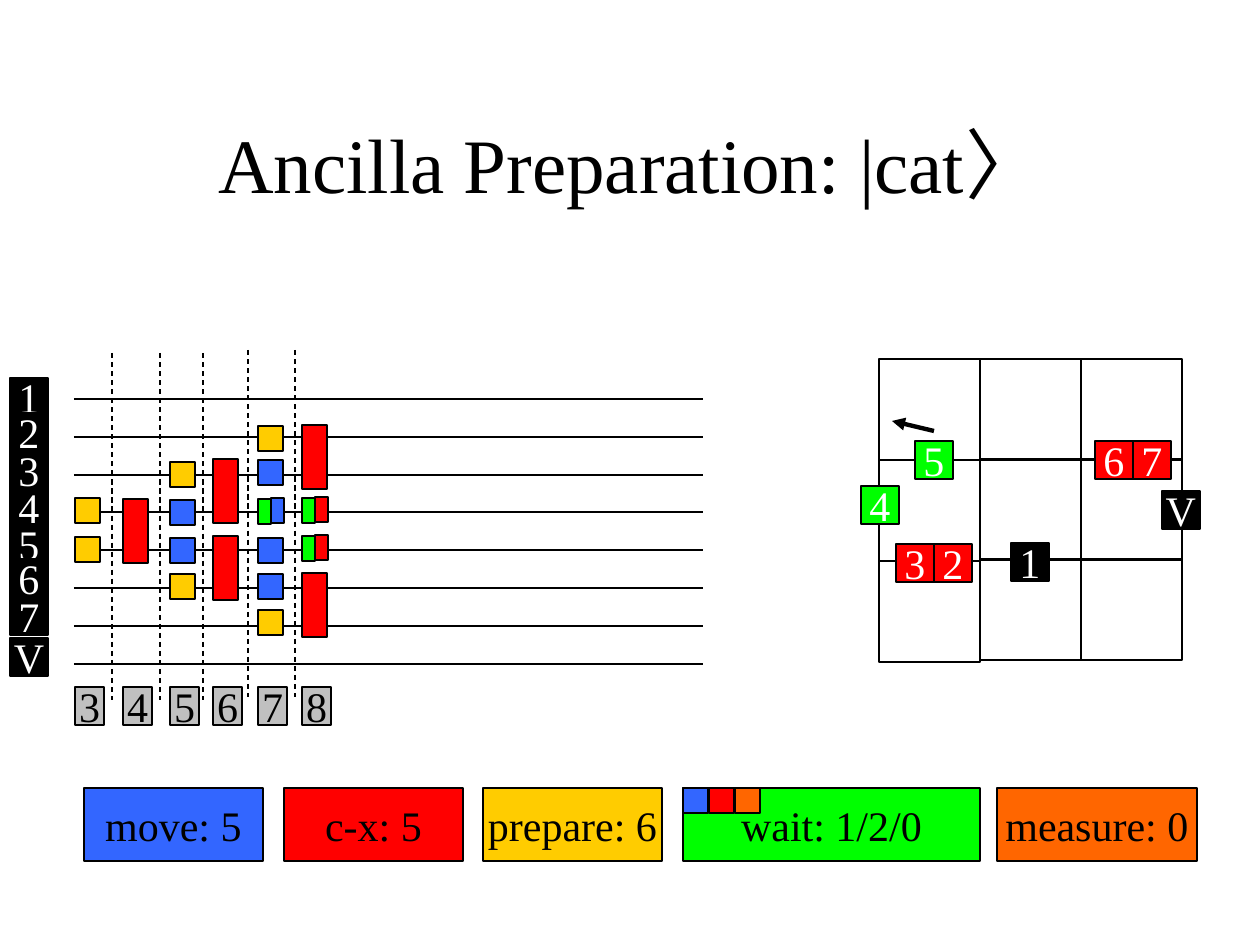
from lxml import etree
from pptx import Presentation
from pptx import util as u
from pptx.dml.color import RGBColor
from pptx.enum import dml, shapes, text
from pptx.oxml.ns import qn

PX = 914400 / 126  # EMU in one px

THEME = {
    "black": "000000", "white": "FFFFFF", "step": "C0C0C0",
    "move": "3366FF", "cx": "FF0000", "prepare": "FFCC00",
    "wait": "00FF00", "measure": "FF6600",
    "font": "Times New Roman", "ket_font": "Arial",
    "title_size": 44, "label_size": 24,
    "outline": 0.75, "wire": 1, "arrow": 2.5,
}
LABEL_FORMAT = {"word_wrap": False, "vertical_anchor": text.MSO_ANCHOR.MIDDLE}


def rgb(name):
    return RGBColor.from_string(THEME[name])


def px(*lengths):
    return [u.Emu(round(length * PX)) for length in lengths]


deck = Presentation()
deck.slide_width, deck.slide_height = px(1260, 945)
slide = deck.slides.add_slide(deck.slide_layouts[6])


def add_box(left, top, width, height, fill=None, label="", ink="black"):
    box = slide.shapes.add_shape(shapes.MSO_SHAPE.RECTANGLE, *px(left, top, width, height))
    box.shadow.inherit = False
    box.line.color.rgb = rgb("black")
    box.line.width = u.Pt(THEME["outline"])
    if fill:
        box.fill.solid()
        box.fill.fore_color.rgb = rgb(fill)
    else:
        box.fill.background()
    if label:
        for name, value in LABEL_FORMAT.items():
            setattr(box.text_frame, name, value)
        paragraph = box.text_frame.paragraphs[0]
        paragraph.alignment = text.PP_ALIGN.CENTER
        run = paragraph.add_run()
        run.text = label
        run.font.name = THEME["font"]
        run.font.size = u.Pt(THEME["label_size"])
        run.font.color.rgb = rgb(ink)


def add_line(x1, y1, x2, y2, weight):
    line = slide.shapes.add_connector(shapes.MSO_CONNECTOR.STRAIGHT, *px(x1, y1, x2, y2))
    line.line.color.rgb = rgb("black")
    line.line.width = u.Pt(THEME[weight])
    etree.SubElement(line.line._get_or_add_ln().getparent(), qn("a:effectLst"))
    return line


# Title
title = slide.shapes.add_textbox(*px(95, 84, 1071, 158)).text_frame
title.word_wrap = True
title.vertical_anchor = text.MSO_ANCHOR.MIDDLE
heading = title.paragraphs[0]
heading.alignment = text.PP_ALIGN.CENTER
for words, font in (("Ancilla Preparation: |cat", "font"), ("〉", "ket_font")):
    run = heading.add_run()
    run.text = words
    run.font.name = THEME[font]
    run.font.size = u.Pt(THEME["title_size"])
    run.font.color.rgb = rgb("black")

# Qubit layout grid; the first column has slightly taller rows
for column in range(3):
    for row in range(3):
        pitch = 101 if column == 0 else 100
        add_box(879 + 101 * column, 359 + pitch * row, 101, 101)

# Qubits on the grid
for label, left, top, fill in (
    ("1", 1011, 543, "black"), ("3", 896, 544, "cx"), ("7", 1133, 441, "cx"),
    ("5", 915, 441, "wait"), ("2", 934, 544, "cx"), ("6", 1095, 441, "cx"),
    ("4", 861, 486, "wait"), ("V", 1162, 491, "black"),
):
    add_box(left, top, 38, 38, fill, label, "white")

# Direction in which qubit 5 moves
move_arrow = add_line(934, 431, 892, 421, "arrow")
etree.SubElement(move_arrow.line._get_or_add_ln(), qn("a:tailEnd"), type="triangle")

# Circuit wires with their qubit labels
label_tops = (378, 413, 451, 488, 525, 559, 597, 638)
for row, (qubit, top) in enumerate(zip("1234567V", label_tops)):
    wire_y = round(399 + 37.8 * row)
    add_line(74, wire_y, 703, wire_y, "wire")
    add_box(10, top, 38, 38, "black", qubit, "white")

# Separators between time steps
for x, top in ((112, 353), (160, 353), (203, 353), (248, 350), (295, 350)):
    add_line(x, top, x, top + 347, "outline").line.dash_style = dml.MSO_LINE.DASH

# Time steps: number, left edge and the (operation, top) pairs of the step
time_steps = (
    ("3", 75, (("prepare", 498), ("prepare", 537))),
    ("4", 123, (("cx", 499),)),
    ("5", 170, (("prepare", 462), ("move", 500), ("move", 538), ("prepare", 574))),
    ("6", 213, (("cx", 459), ("cx", 536))),
    ("7", 258, (("prepare", 426), ("move", 460), ("move", 538), ("move", 574),
                ("prepare", 610))),
    ("8", 302, (("cx", 425), ("cx", 573))),
)
for number, left, operations in time_steps:
    for operation, top in operations:
        add_box(left, top, 25, 64 if operation == "cx" else 25, operation)
    add_box(left, 687, 29, 38, "step", number)

# Waits shared with another operation
for left, top, partner in ((258, 499, "move"), (302, 498, "cx"), (302, 536, "cx")):
    add_box(left, top, 13, 25, "wait")
    add_box(left + 13, top - 1, 13, 25, partner)

# Operation counts
for operation, label, left, width in (
    ("move", "move: 5", 84, 179), ("cx", "c-x: 5", 284, 179),
    ("prepare", "prepare: 6", 483, 179), ("wait", "wait: 1/2/0", 683, 297),
    ("measure", "measure: 0", 997, 200),
):
    add_box(left, 788, width, 73, operation, label)

# Kinds of wait
for index, operation in enumerate(("move", "cx", "measure")):
    add_box(683 + 26 * index, 788, 25, 25, operation)

deck.save("out.pptx")
